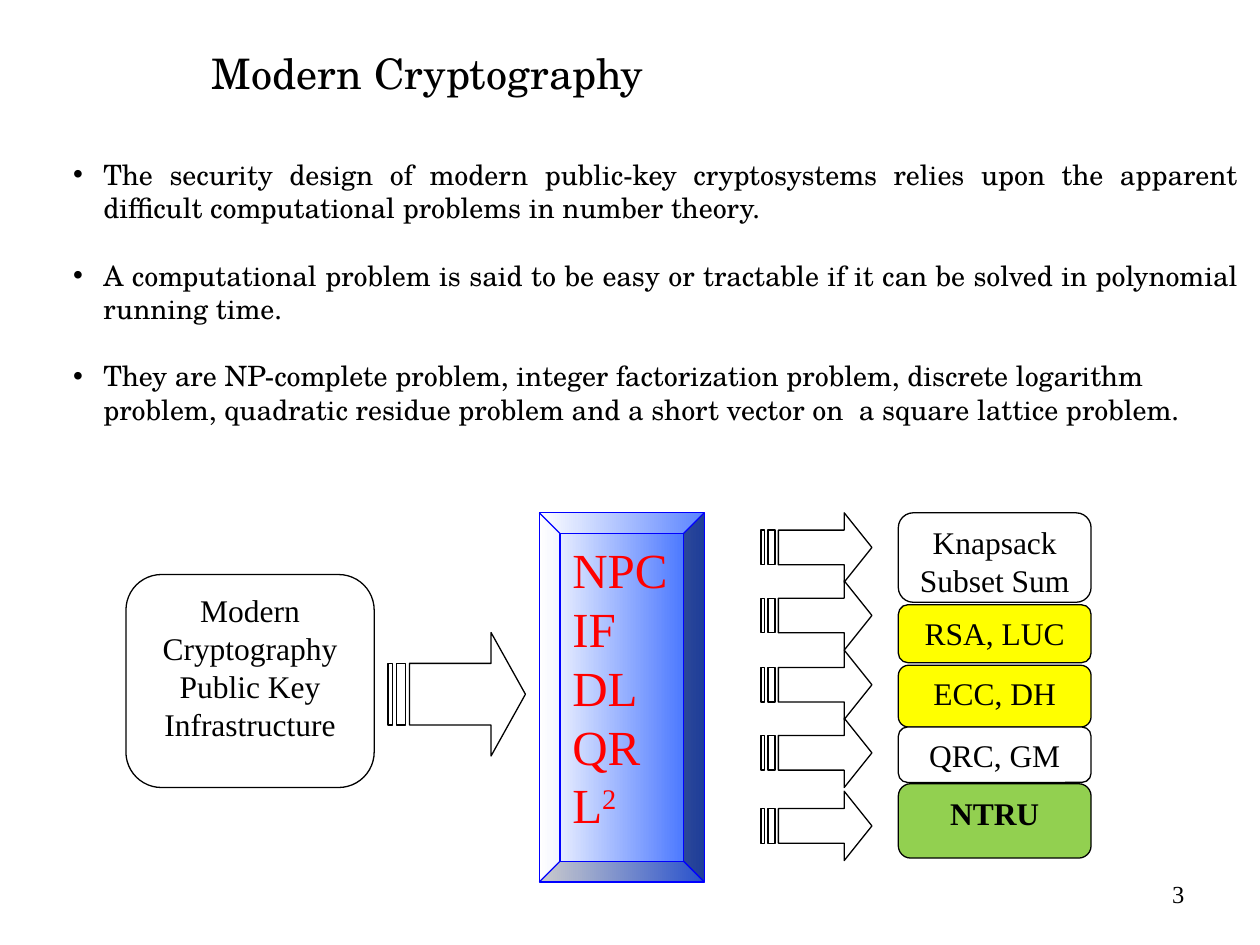
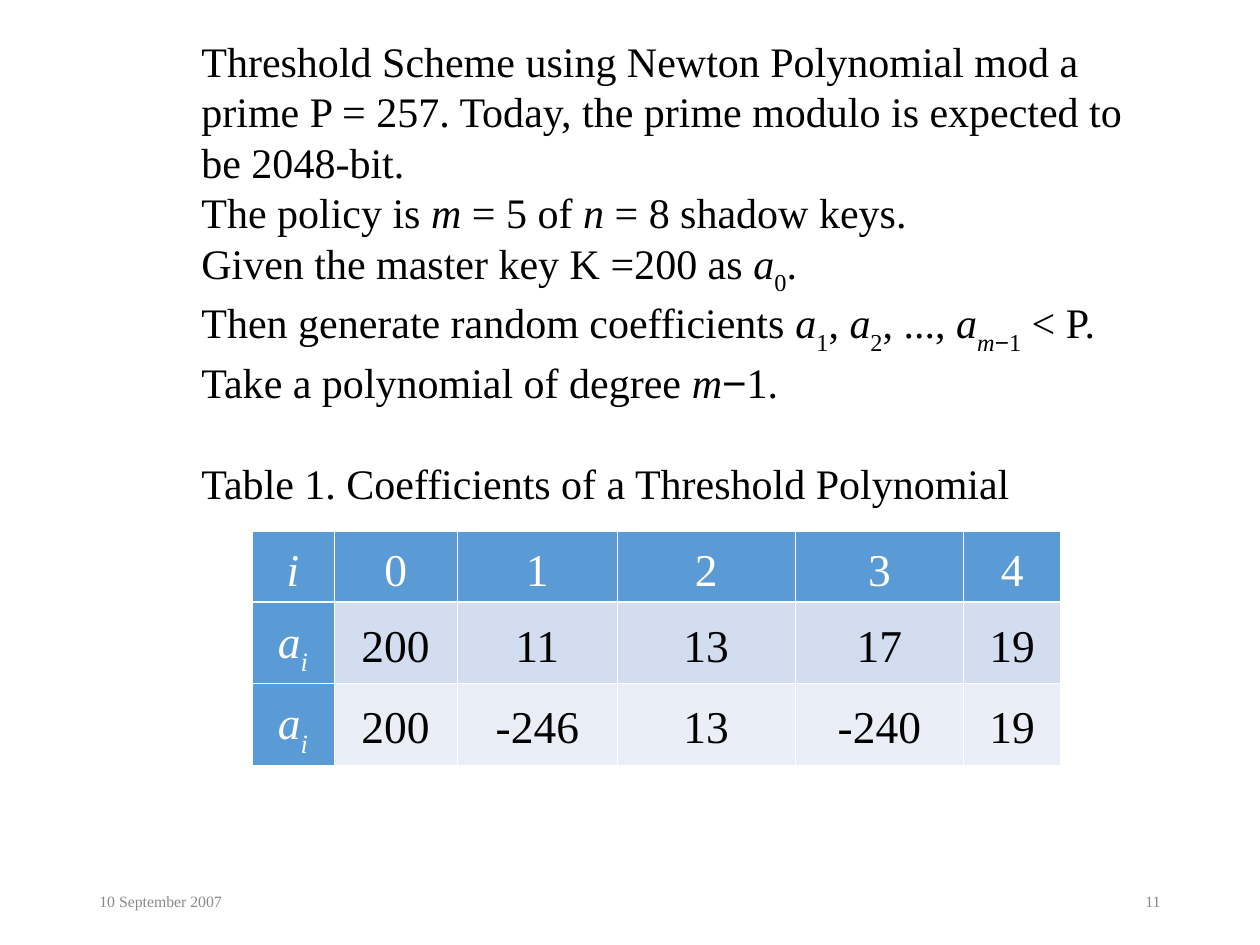
from lxml.etree import SubElement
from pptx import Presentation
from pptx.dml.color import RGBColor
from pptx.enum.shapes import MSO_SHAPE as Preset
from pptx.enum.text import MSO_ANCHOR as Anchor, MSO_AUTO_SIZE as AutoSize, PP_ALIGN as Align
from pptx.oxml.ns import qn
from pptx.util import Inches, Pt

ink = RGBColor.from_string
BLACK, WHITE, GREY, RED, BLUE = "000000", "FFFFFF", "898989", "FF0000", "0000FF"
YELLOW, GREEN, HEADER_BLUE = "FFFF00", "92D050", "5B9BD5"
SERIF, SCHOOLBOOK, SANS = "Times New Roman", "TeX Gyre Schola", "Arial"

deck = Presentation()
deck.slide_width, deck.slide_height = Inches(10), Inches(7.5)
COL, ROW = deck.slide_width / 100, deck.slide_height / 75


def area(left, top, width, height):
    """Turn columns and rows of the 100 x 75 slide grid into lengths."""
    return int(left * COL), int(top * ROW), int(width * COL), int(height * ROW)


def write(frame, paragraphs, size, font=SERIF, colour=BLACK, align=Align.LEFT, anchor=Anchor.MIDDLE):
    """Fill a frame; a run is (text, marks): i italic, b bold, A sans, _ subscript, ^ superscript."""
    frame.word_wrap = True
    frame.auto_size = AutoSize.NONE
    frame.vertical_anchor = anchor
    for number, runs in enumerate(paragraphs):
        paragraph = frame.paragraphs[0] if number == 0 else frame.add_paragraph()
        paragraph.alignment = align
        for words, marks in [(runs, "")] if isinstance(runs, str) else runs:
            run = paragraph.add_run()
            run.text = words
            run.font.size = Pt(size)
            run.font.name = SANS if "A" in marks else font
            run.font.color.rgb = ink(colour)
            run.font.italic = "i" in marks
            run.font.bold = "b" in marks
            if "_" in marks or "^" in marks:
                run._r.get_or_add_rPr().set("baseline", "30000" if "^" in marks else "-30000")


# Slide 1: modern cryptography
overview = deck.slides.add_slide(deck.slide_layouts[5])
title = overview.shapes.title
title.left, title.top, title.width, title.height = area(15.8, 2.5, 70.8, 7.1)
write(title.text_frame, ["Modern Cryptography"], 24, SCHOOLBOOK)
title.text_frame.paragraphs[0].line_spacing = 0.9

claims = overview.shapes.add_textbox(*area(5.8, 12.5, 92.5, 21.3)).text_frame
claims.margin_left = claims.margin_right = claims.margin_top = claims.margin_bottom = 0
write(claims, [
    "The security design of modern public-key cryptosystems relies upon the apparent "
    "difficult computational problems in number theory.",
    "A computational problem is said to be easy or tractable if it can be solved in "
    "polynomial running time.",
    "They are NP-complete problem, integer factorization problem, discrete logarithm "
    "problem, quadratic residue problem and a short vector on  a square lattice problem.",
], 16, SCHOOLBOOK, align=Align.JUSTIFY)
for number, claim in enumerate(claims.paragraphs):
    properties = claim._p.get_or_add_pPr()
    properties.set("marL", str(int(2.4 * COL)))
    properties.set("indent", str(int(-2.4 * COL)))
    if number:
        claim.space_before = Pt(19.2)
    bullet_colour = SubElement(properties, qn("a:buClr"))
    SubElement(bullet_colour, qn("a:srgbClr")).set("val", BLACK)
    SubElement(properties, qn("a:buFont")).set("typeface", SANS)
    SubElement(properties, qn("a:buChar")).set("char", "•")
claims.paragraphs[-1].alignment = Align.LEFT

# Rounded boxes: the infrastructure on the left, the schemes on the right
SCHEME_LEFT, SCHEME_WIDTH = 71.3, 15.3
rounded_boxes = [
    ((10, 45.6, 19.7, 16.9), WHITE, ["Modern Cryptography", "Public Key", "Infrastructure"]),
]
for top, height, fill, lines in [
    (40.7, 7.1, WHITE, ["Knapsack", "Subset Sum"]),
    (48, 4.6, YELLOW, ["RSA, LUC"]),
    (52.8, 4.9, YELLOW, ["ECC, DH"]),
    (57.7, 4.4, WHITE, ["QRC, GM"]),
    (62.2, 5.9, GREEN, [[("NTRU", "b")]]),
]:
    rounded_boxes.append(((SCHEME_LEFT, top, SCHEME_WIDTH, height), fill, lines))
for place, fill, lines in rounded_boxes:
    box = overview.shapes.add_shape(Preset.ROUNDED_RECTANGLE, *area(*place))
    box.shadow.inherit = False
    box.fill.solid()
    box.fill.fore_color.rgb = ink(fill)
    box.line.color.rgb = ink(BLACK)
    box.line.width = Pt(0.75)
    write(box.text_frame, lines, 18, align=Align.CENTER, anchor=Anchor.TOP)

problems = overview.shapes.add_shape(Preset.BEVEL, *area(42.8, 40.7, 13.1, 29.3))
problems.shadow.inherit = False
problems.fill.gradient()
problems.fill.gradient_angle = 0
for stop, colour in zip(problems.fill.gradient_stops, (WHITE, "3366FF")):
    stop.color.rgb = ink(colour)
problems.line.color.rgb = ink(BLUE)
problems.line.width = Pt(0.75)
write(problems.text_frame, ["NPC", "IF", "DL", "QR", [("L", ""), ("2", "^")]],
      28, colour=RED, anchor=Anchor.TOP)

# Striped arrows, drawn on a field 32 units wide and 4 units high
ARROW_HEAD = [(24, 1), (5, 1), (5, 3), (24, 3), (24, 4), (32, 2)]
STRIPES = [(2, 4), (0, 1)]
arrow_places = [(30.8, 50.2, 10.9, 9.8)]
arrow_places += [(60.4, top, 8.8, 5.5) for top in (40.7, 46.1, 51.6, 57, 62.8)]
for place in arrow_places:
    left, top, width, height = area(*place)
    outline = overview.shapes.build_freeform(24, 0, scale=(width / 32, height / 4))
    outline.add_line_segments(ARROW_HEAD, close=True)
    for start, end in STRIPES:
        outline.move_to(start, 1)
        outline.add_line_segments([(start, 3), (end, 3), (end, 1)], close=True)
    arrow = outline.convert_to_shape(left, top)
    arrow.shadow.inherit = False
    arrow.fill.solid()
    arrow.fill.fore_color.rgb = ink(WHITE)
    arrow.line.color.rgb = ink(BLACK)
    arrow.line.width = Pt(0.75)

# Slide 2: threshold scheme
threshold = deck.slides.add_slide(deck.slide_layouts[6])
scheme = threshold.shapes.add_textbox(*area(15, 2.3, 78.1, 38.5)).text_frame
write(scheme, [
    "Threshold Scheme using Newton Polynomial mod a prime P = 257. Today, the prime "
    "modulo is expected to be 2048-bit.",
    [("The policy is ", ""), ("m", "i"), (" = 5 of ", ""), ("n", "i"), (" = 8 shadow keys.", "")],
    [("Given the master key K =200 as ", ""), ("a", "i"), ("0", "_"), (".", "")],
    [("Then generate random coefficients ", ""), ("a", "i"), ("1", "_"), (", ", ""),
     ("a", "i"), ("2", "_"), (", ..., ", ""), ("a", "i"), ("m", "i_"), ("−", "A_"), ("1", "_"),
     (" < P. Take a polynomial of degree ", ""), ("m", "i"), ("−", "A"), ("1.", "")],
    "Table 1. Coefficients of a Threshold Polynomial",
], 24)
scheme.paragraphs[-1].space_before = Pt(29)

coefficient = [("a", "i"), ("i", "i_")]
coefficients = [
    [[("i", "i")], "0", "1", "2", "3", "4"],
    [coefficient, "200", "11", "13", "17", "19"],
    [coefficient, "200", "-246", "13", "-240", "19"],
]
table = threshold.shapes.add_table(3, 6, *area(20, 42.2, 64.2, 16.4)).table
table.first_row = table.horz_banding = False
for column, width in zip(table.columns, (6.5, 9.8, 12.7, 14.1, 13.4, 7.7)):
    column.width = int(width * COL)
for row, height in zip(table.rows, (5, 5.7, 5.7)):
    row.height = int(height * ROW)
for r, (values, band) in enumerate(zip(coefficients, (HEADER_BLUE, "D2DEEF", "EAEFF7"))):
    for c, value in enumerate(values):
        cell = table.cell(r, c)
        is_header = r == 0 or c == 0
        cell.margin_left = cell.margin_right = Inches(0.08)
        cell.margin_top = cell.margin_bottom = Inches(0.05)
        for side in "LRTB":
            thick = (r, side) in ((0, "B"), (1, "T"))
            border = SubElement(cell._tc.get_or_add_tcPr(), qn(f"a:ln{side}"))
            border.set("w", str(Pt(1.47 if thick else 0.45)))
            SubElement(SubElement(border, qn("a:solidFill")), qn("a:srgbClr")).set("val", WHITE)
        cell.fill.solid()
        cell.fill.fore_color.rgb = ink(HEADER_BLUE if is_header else band)
        write(cell.text_frame, [value], 26, colour=WHITE if is_header else BLACK, align=Align.CENTER)
        cell.vertical_anchor = Anchor.MIDDLE
        cell.text_frame.paragraphs[0].line_spacing = 1.15

# Footers
for slide, place, words, size, colour, align in [
    (overview, (81.7, 68.3, 13.3, 5.2), "3", 14, BLACK, Align.RIGHT),
    (threshold, (6.9, 69.5, 22.5, 4), "10 September 2007", 9, GREY, Align.LEFT),
    (threshold, (70.6, 69.5, 22.5, 4), "11", 9, GREY, Align.RIGHT),
]:
    footer = slide.shapes.add_textbox(*area(*place))
    write(footer.text_frame, [words], size, colour=colour, align=align)

deck.save("out.pptx")
